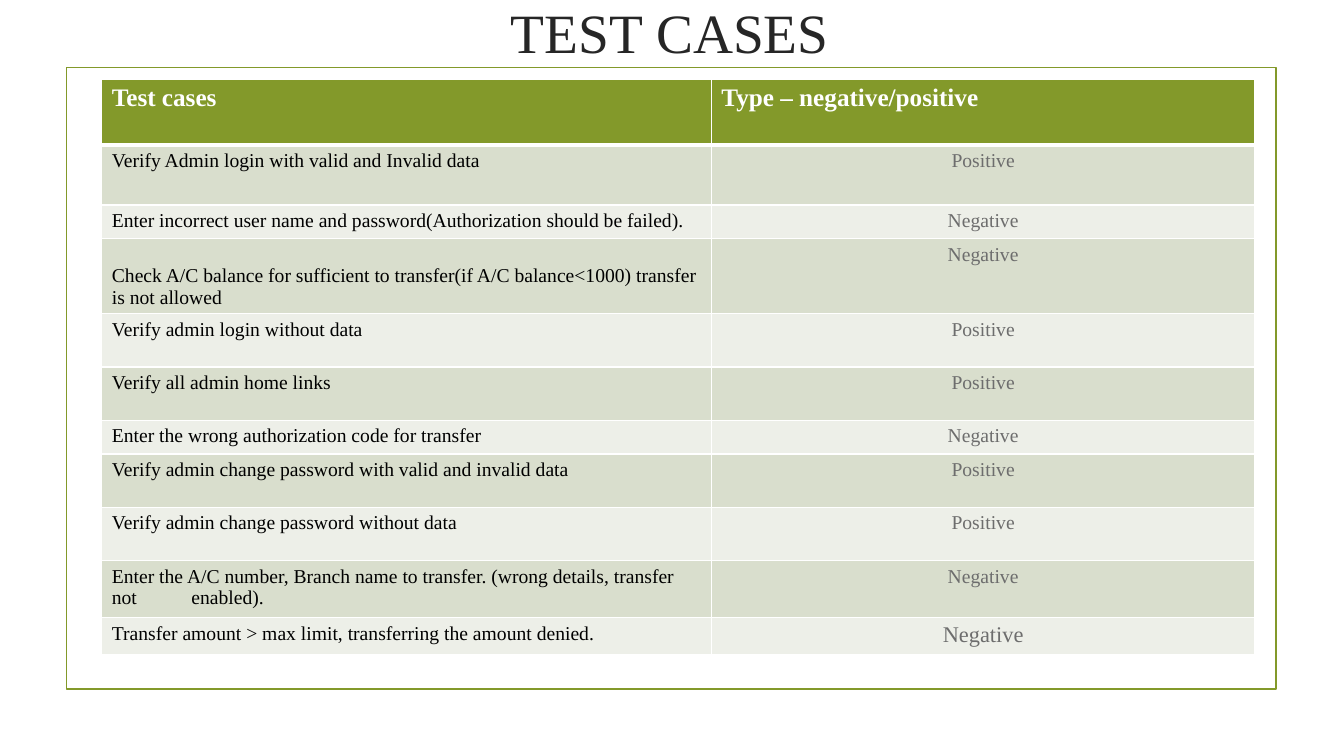
from lxml import etree
from pptx import Presentation
from pptx.dml.color import RGBColor
from pptx.enum.shapes import MSO_SHAPE
from pptx.enum.text import MSO_ANCHOR, PP_ALIGN
from pptx.oxml.ns import qn
from pptx.util import Pt

LEFT, CENTER = PP_ALIGN.LEFT, PP_ALIGN.CENTER
TOP, MIDDLE, BOTTOM = MSO_ANCHOR.TOP, MSO_ANCHOR.MIDDLE, MSO_ANCHOR.BOTTOM
RECTANGLE = MSO_SHAPE.RECTANGLE

TITLE = "TEST CASES"
HEADINGS = ("Test cases", "Type – negative/positive")
TEST_CASES = [
    ("Verify Admin login with valid and Invalid data", "Positive", 42.9),
    ("Enter incorrect user name and password(Authorization should be failed).", "Negative", 22.6),
    ("Check A/C balance for sufficient to transfer(if A/C balance<1000) transfer is not allowed", "Negative", 53.6),
    ("Verify admin login without data", "Positive", 38.1),
    ("Verify all admin home links", "Positive", 38.1),
    ("Enter the wrong authorization code for transfer", "Negative", 22.6),
    ("Verify admin change password with valid and invalid data", "Positive", 38.1),
    ("Verify admin change password without data", "Positive", 38.1),
    ("Enter the A/C number, Branch name to transfer. (wrong details, transfer not\tenabled).", "Negative", 38.1),
    ("Transfer amount > max limit, transferring the amount denied.", "Negative", 24.6),
]
LOW_CASE = 3
LAST_CASE = len(TEST_CASES)

COLORS = {
    "olive": "83992A", "white": "FFFFFF", "title": "262626", "case": "000000",
    "type": "6D6D6D", "band_dark": "D9DECD", "band_light": "EDEFE8",
}
FONT = "Times New Roman"
SLIDE_SIZE = (960, 540)
FRAME_BOX = (47.5, 48.2, 864, 444.2)
TITLE_BOX = (88.6, 0, 779.8, 45.4)
TABLE_CORNER = (72.7, 56.5)
COLUMN_WIDTHS = (435.4, 388.4)
HEADER_HEIGHT = 47
TAB_STOP = 56.8
TITLE_FORMAT = {"size": Pt(39.6), "bold": False}
HEADING_FORMAT = {"size": Pt(18), "bold": True}
BODY_FORMAT = {"size": Pt(14), "bold": False}
LAST_TYPE_FORMAT = {"size": Pt(16), "bold": False}


def rgb(name):
    return RGBColor.from_string(COLORS[name])


def write(frame, text, color, font_format, align):
    paragraph = frame.paragraphs[0]
    paragraph.alignment = align
    run = paragraph.add_run()
    run.text = text
    run.font.name = FONT
    run.font.color.rgb = rgb(color)
    for attribute, value in font_format.items():
        setattr(run.font, attribute, value)
    if "\t" in text:
        tabs = etree.SubElement(paragraph._p.get_or_add_pPr(), qn("a:tabLst"))
        etree.SubElement(tabs, qn("a:tab"), pos=str(Pt(TAB_STOP)), algn="l")


def add_borders(cell, row):
    edges = {"a:lnL": 1, "a:lnR": 1, "a:lnT": 3 if row == 1 else 1, "a:lnB": 3 if row == 0 else 1}
    properties = cell._tc.get_or_add_tcPr()
    for edge, width in edges.items():
        line = etree.SubElement(properties, qn(edge), w=str(Pt(width)))
        fill = etree.SubElement(line, qn("a:solidFill"))
        etree.SubElement(fill, qn("a:srgbClr"), val=COLORS["white"])


def fill_cell(cell, row, column, text):
    add_borders(cell, row)
    cell.fill.solid()
    if row == 0:
        band, color, font_format = "olive", "white", HEADING_FORMAT
    else:
        band = "band_dark" if row % 2 else "band_light"
        color = ("case", "type")[column]
        font_format = LAST_TYPE_FORMAT if (row, column) == (LAST_CASE, 1) else BODY_FORMAT
    cell.fill.fore_color.rgb = rgb(band)
    cell.vertical_anchor = BOTTOM if (row, column) == (LOW_CASE, 0) else TOP
    align = CENTER if row and column else LEFT
    write(cell.text_frame, text, color, font_format, align)


def main():
    deck = Presentation()
    deck.slide_width, deck.slide_height = map(Pt, SLIDE_SIZE)
    slide = deck.slides.add_slide(deck.slide_layouts[6])

    frame = slide.shapes.add_shape(RECTANGLE, *map(Pt, FRAME_BOX))
    frame.shadow.inherit = False
    frame.fill.background()
    frame.line.color.rgb = rgb("olive")
    frame.line.width = Pt(1.25)

    title = slide.shapes.add_textbox(*map(Pt, TITLE_BOX)).text_frame
    title.word_wrap = True
    title.vertical_anchor = MIDDLE
    write(title, TITLE, "title", TITLE_FORMAT, CENTER)

    heights = [HEADER_HEIGHT] + [height for _, _, height in TEST_CASES]
    rows = [HEADINGS] + [(case, kind) for case, kind, _ in TEST_CASES]
    size = (sum(COLUMN_WIDTHS), sum(heights))
    table = slide.shapes.add_table(len(rows), len(HEADINGS), *map(Pt, TABLE_CORNER + size)).table
    for column, width in zip(table.columns, COLUMN_WIDTHS):
        column.width = Pt(width)
    for row, (texts, height) in enumerate(zip(rows, heights)):
        table.rows[row].height = Pt(height)
        for column, text in enumerate(texts):
            fill_cell(table.cell(row, column), row, column, text)

    deck.save("out.pptx")


if __name__ == "__main__":
    main()
